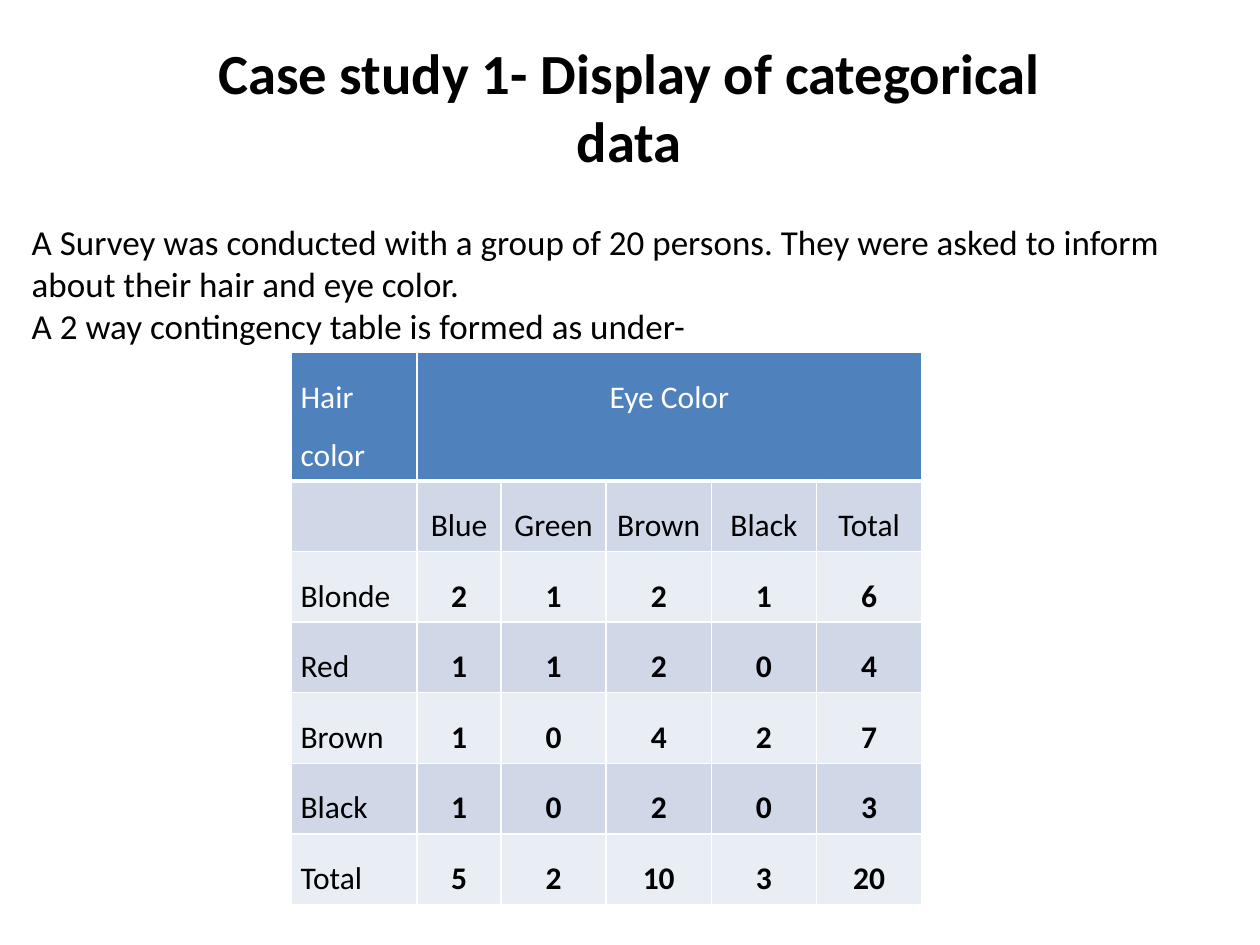
from lxml import etree
from pptx import Presentation
from pptx.dml.color import RGBColor
from pptx.enum.text import MSO_ANCHOR, MSO_AUTO_SIZE, PP_ALIGN
from pptx.oxml.ns import qn
from pptx.util import Cm, Pt

LEFT, CENTER = PP_ALIGN.LEFT, PP_ALIGN.CENTER
TOP = MSO_ANCHOR.TOP
NO_AUTOFIT = MSO_AUTO_SIZE.NONE

BLACK, WHITE = "000000", "FFFFFF"
HEADER, BAND_DARK, BAND_LIGHT = "4F81BD", "D0D8E8", "E9EDF4"


def add_run(p, text, size, color=BLACK, bold=False):
    r = p.add_run()
    r.text = text
    r.font.name = "Calibri"
    r.font.size = Pt(size)
    r.font.bold = bold
    r.font.color.rgb = RGBColor.from_string(color)


def add_border(cell, side, width, color=WHITE):
    """Append a cell border; call in the order L, R, T, B and before the fill."""
    ln = etree.SubElement(cell._tc.get_or_add_tcPr(), qn(f"a:ln{side}"), w=str(Pt(width)))
    fill = etree.SubElement(ln, qn("a:solidFill"))
    etree.SubElement(fill, qn("a:srgbClr"), val=color)


prs = Presentation()
prs.slide_width, prs.slide_height = Cm(25.4), Cm(19.05)
s = prs.slides.add_slide(prs.slide_layouts[5])

# Title and introduction
title = s.shapes.title
title.left, title.top, title.width, title.height = Cm(4.11), Cm(0.76), Cm(17.15), Cm(1.98)
intro = s.shapes.add_textbox(Cm(0.64), Cm(4.45), Cm(23.93), Cm(2.57))

for sp in (title, intro):
    tf = sp.text_frame
    tf.word_wrap = True
    tf.auto_size = NO_AUTOFIT
    tf.vertical_anchor = TOP
    tf.margin_left = tf.margin_right = tf.margin_top = tf.margin_bottom = 0

p = title.text_frame.paragraphs[0]
p.alignment = CENTER
add_run(p, "Case study 1- Display of categorical data", 32.4, bold=True)

tf = intro.text_frame
add_run(
    tf.paragraphs[0],
    "A Survey was conducted with a group of 20 persons. "
    "They were asked to inform about their hair and eye color.",
    20,
)
add_run(tf.add_paragraph(), "A 2 way contingency table is formed as under-", 20)

# Contingency table
rows = [
    ["Hair color", "Eye Color", "", "", "", ""],
    ["", "Blue", "Green", "Brown", "Black", "Total"],
    ["Blonde", "2", "1", "2", "1", "6"],
    ["Red", "1", "1", "2", "0", "4"],
    ["Brown", "1", "0", "4", "2", "7"],
    ["Black", "1", "0", "2", "0", "3"],
    ["Total", "5", "2", "10", "3", "20"],
]
col_widths = [2.54, 1.69] + [2.12] * 4
row_heights = [2.57] + [1.41] * 6

table = s.shapes.add_table(
    len(rows), len(col_widths),
    Cm(5.87), Cm(7.11), Cm(sum(col_widths)), Cm(sum(row_heights)),
).table
for column, width in zip(table.columns, col_widths):
    column.width = Cm(width)
for row, height in zip(table.rows, row_heights):
    row.height = Cm(height)
table.cell(0, 1).merge(table.cell(0, 5))

for i, values in enumerate(rows):
    for j, value in enumerate(values):
        cell = table.cell(i, j)
        cell.margin_left = cell.margin_right = Cm(0.19)
        cell.margin_top = cell.margin_bottom = Cm(0.13)
        if i == 0:
            for side, width in (("L", 1), ("R", 1), ("T", 1), ("B", 3)):
                add_border(cell, side, width)
        band = BAND_DARK if i % 2 else BAND_LIGHT
        cell.fill.solid()
        cell.fill.fore_color.rgb = RGBColor.from_string(band if i else HEADER)
        if value:
            p = cell.text_frame.paragraphs[0]
            p.alignment = CENTER if j else LEFT
            p.line_spacing = 1.5
            add_run(p, value, 18, BLACK if i else WHITE, bold=value.isdigit())

prs.save("out.pptx")
